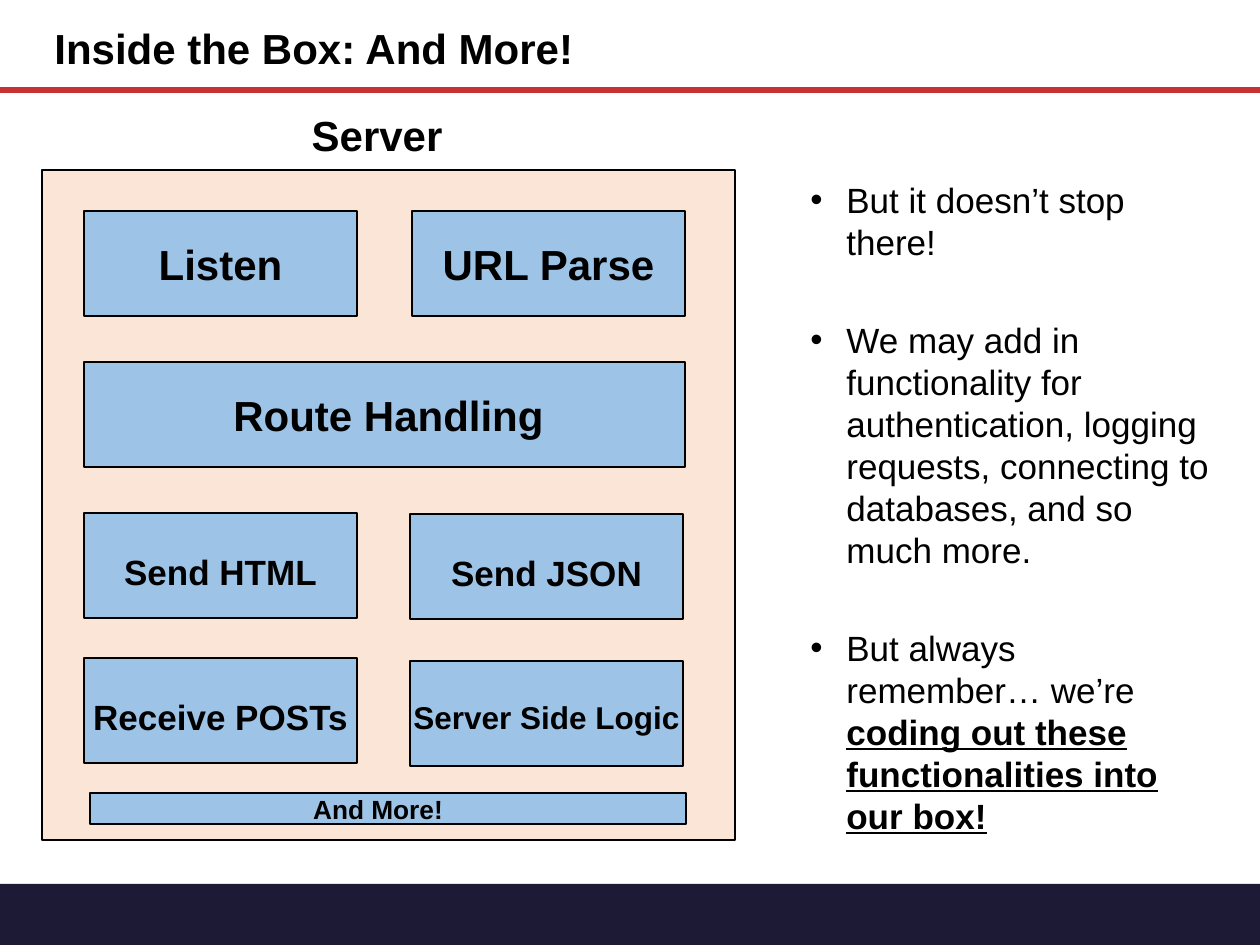
"""Build the slide showing the functions inside a server box."""
from lxml import etree
from pptx import Presentation
from pptx import util as u
from pptx.dml.color import RGBColor
from pptx.enum import shapes, text
from pptx.oxml.ns import qn

COLORS = {"footer": "1D1A36", "rule": "C83232", "server": "FBE5D6",
          "box": "9DC3E6", "ink": "000000"}
FONT = "Arial"
HEADINGS = [
    ("Inside the Box: And More!", (42, 16, 725, 63), text.PP_ALIGN.LEFT),
    ("Server", (142, 103, 470, 70), text.PP_ALIGN.CENTER),
]
SERVER = (42, 170, 693, 670)
BOXES = [
    ("Listen", (84, 211, 273, 105), 24, (0, 0)),
    ("URL Parse", (412, 211, 273, 105), 24, (0, 0)),
    ("Route Handling", (84, 362, 601, 105), 24, (8, 0)),
    ("Send HTML", (84, 513, 273, 105), 20, (0, 12)),
    ("Send JSON", (410, 514, 273, 105), 20, (0, 12)),
    ("Receive POSTs", (84, 658, 273, 105), 20, (0, 12)),
    ("Server Side Logic", (410, 661, 273, 105), 18, (0, 6)),
    ("And More!", (90, 793, 596, 31), 15, (-20, 2)),
]
BULLETS_AT = (798, 172, 430, 670)
BULLETS = [
    [("But it doesn’t stop there!", False)],
    [("We may add in functionality for authentication, logging requests, "
      "connecting to databases, and so much more.", False)],
    [("But always remember… we’re ", False),
     ("coding out these functionalities into our box!", True)],
]


def px(n):
    return u.Emu(round(n * 914400 / 126))


def rgb(name):
    return RGBColor.from_string(COLORS[name])


def style(font, size, bold):
    font.name, font.size, font.bold = FONT, u.Pt(size), bold
    font.color.rgb = rgb("ink")


def add_box(s, at, fill, outline=True):
    sp = s.shapes.add_shape(shapes.MSO_SHAPE.RECTANGLE, *map(px, at))
    sp.shadow.inherit = False
    sp.fill.solid()
    sp.fill.fore_color.rgb = rgb(fill)
    if outline:
        sp.line.color.rgb = rgb("ink")
        sp.line.width = u.Pt(1)
    else:
        sp.line.fill.background()
    return sp


def add_label(sp, label, size, nudge):
    dx, dy = nudge
    tf = sp.text_frame
    tf.text = label
    tf.word_wrap = False
    tf.vertical_anchor = text.MSO_ANCHOR.MIDDLE
    tf.margin_left, tf.margin_right = px(max(dx, 0)), px(max(-dx, 0))
    tf.margin_top, tf.margin_bottom = px(dy), 0
    p = tf.paragraphs[0]
    p.alignment = text.PP_ALIGN.CENTER
    style(p.runs[0].font, size, True)


def add_textbox(s, at):
    tf = s.shapes.add_textbox(*map(px, at)).text_frame
    tf.word_wrap = True
    return tf


def add_bullets(s):
    tf = add_textbox(s, BULLETS_AT)
    for i, runs in enumerate(BULLETS):
        p = tf.add_paragraph() if i else tf.paragraphs[0]
        pPr = p._p.get_or_add_pPr()
        pPr.set("marL", str(px(36)))
        pPr.set("indent", str(px(-36)))
        etree.SubElement(pPr, qn("a:buFont")).set("typeface", FONT)
        etree.SubElement(pPr, qn("a:buChar")).set("char", "•")
        p.line_spacing = u.Pt(24)
        p.space_before = u.Pt(32 if i else 0)
        for words, strong in runs:
            r = p.add_run()
            r.text = words
            style(r.font, 20, strong)
            r.font.underline = strong


def main():
    prs = Presentation()
    prs.slide_width, prs.slide_height = u.Inches(10), u.Inches(7.5)
    s = prs.slides.add_slide(prs.slide_layouts[6])

    add_box(s, (0, 884, 1260, 61), "footer", outline=False)
    rule = s.shapes.add_connector(shapes.MSO_CONNECTOR.STRAIGHT,
                                  0, px(90), px(1260), px(90))
    rule.line.color.rgb = rgb("rule")
    rule.line.width = u.Pt(3.25)
    etree.SubElement(rule._element.spPr, qn("a:effectLst"))

    for words, at, align in HEADINGS:
        tf = add_textbox(s, at)
        tf.text = words
        p = tf.paragraphs[0]
        p.alignment = align
        style(p.runs[0].font, 24, True)

    add_box(s, SERVER, "server")
    for label, at, size, nudge in BOXES:
        add_label(add_box(s, at, "box"), label, size, nudge)
    add_bullets(s)
    prs.save("out.pptx")


if __name__ == "__main__":
    main()
